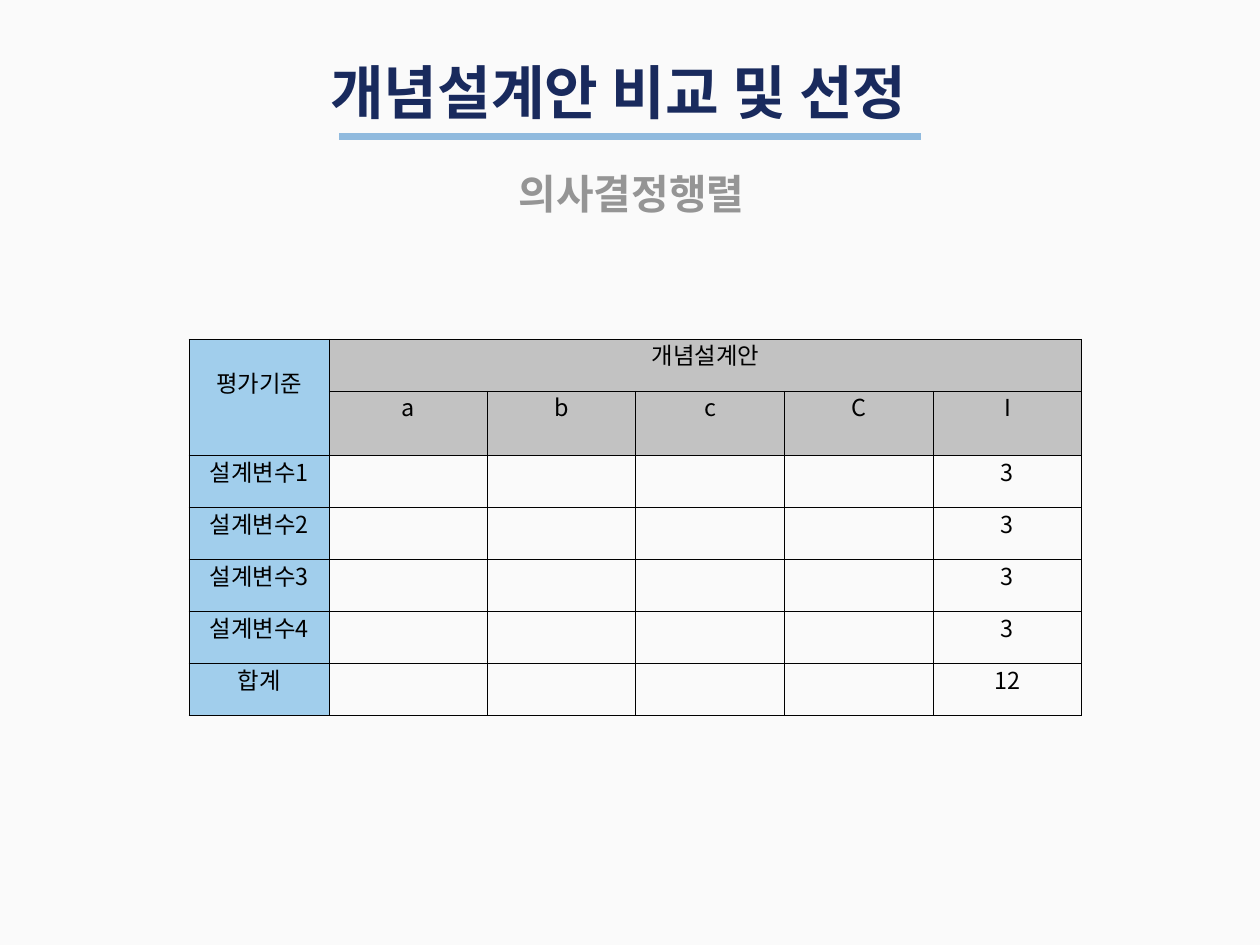
from typing import NamedTuple

from lxml.etree import SubElement as Sub
from pptx import Presentation
from pptx.dml.color import RGBColor as Rgb
from pptx.enum.shapes import MSO_CONNECTOR as Conn
from pptx.enum.text import MSO_ANCHOR as Anchor, MSO_AUTO_SIZE as Fit, PP_ALIGN as Align
from pptx.oxml.ns import qn
from pptx.util import Inches, Pt

FONT = "Noto Sans CJK KR"
COLORS = {
    "back": "FAFAFA", "title": "192A5D", "rule": "90BADE", "sub": "959595",
    "side": "A1CEEC", "head": "C2C2C2", "ink": "000000",
}
WIDTHS = [1.67, 1.88] + [1.77] * 4
ROW = 0.62
GRID = [
    ["평가기준", "개념설계안", "", "", "", ""],
    ["", "a", "b", "c", "C", "I"],
    *[[f"설계변수{n}", "", "", "", "", "3"] for n in range(1, 5)],
    ["합계", "", "", "", "", "12"],
]


class Heading(NamedTuple):
    text: str
    box: tuple[float, float, float, float]
    size: int
    color: str
    align: Align


HEADS = [
    Heading("개념설계안 비교 및 선정", (3.83, 0.62, 7.33, 1.78), 50, "title", Align.LEFT),
    Heading("의사결정행렬", (0.96, 1.96, 13.12, 0.69), 35, "sub", Align.CENTER),
]


def rgb(name: str) -> Rgb:
    return Rgb.from_string(COLORS[name])


def style(para, size: int, color: str, bold: bool = False) -> None:
    for run in para.runs:
        font = run.font
        font.name, font.size, font.bold = FONT, Pt(size), bold
        font.color.rgb = rgb(color)
        Sub(font._element, qn("a:ea"), typeface=FONT)


def add_head(holder, head: Heading) -> None:
    holder.left, holder.top, holder.width, holder.height = map(Inches, head.box)
    frame = holder.text_frame
    frame.text = head.text
    frame.word_wrap = True
    frame.auto_size = Fit.NONE
    frame.vertical_anchor = Anchor.TOP
    para = frame.paragraphs[0]
    para.alignment = head.align
    para.space_before = Pt(0)
    style(para, head.size, head.color, True)


def add_rule(slide) -> None:
    y = Inches(1.62)
    rule = slide.shapes.add_connector(Conn.STRAIGHT, Inches(4.04), y, Inches(10.96), y)
    rule.line.color.rgb = rgb("rule")
    rule.line.width = Pt(6)
    Sub(rule._element.spPr, qn("a:effectLst"))


def add_edges(cell) -> None:
    props = cell._tc.get_or_add_tcPr()
    for side in "LRTB":
        line = Sub(props, qn(f"a:ln{side}"), w=str(Pt(1)))
        fill = Sub(line, qn("a:solidFill"))
        Sub(fill, qn("a:srgbClr"), val=COLORS["ink"])


def fill_cell(cell, row: int, col: int) -> None:
    add_edges(cell)
    if col == 0 or row < 2:
        cell.fill.solid()
        cell.fill.fore_color.rgb = rgb("head" if col else "side")
    else:
        cell.fill.background()
    if GRID[row][col]:
        cell.text_frame.text = GRID[row][col]
        para = cell.text_frame.paragraphs[0]
        para.alignment = Align.CENTER
        para.line_spacing = Pt(24)
        style(para, 20, "ink")


def add_matrix(slide) -> None:
    rows, cols = len(GRID), len(WIDTHS)
    table = slide.shapes.add_table(
        rows, cols, Inches(2.25), Inches(4.04), Inches(sum(WIDTHS)), Inches(ROW * rows)
    ).table
    table.first_row = table.horz_banding = False
    for col, width in zip(table.columns, WIDTHS):
        col.width = Inches(width)
    for r in range(rows):
        table.rows[r].height = Inches(ROW)
        for c in range(cols):
            fill_cell(table.cell(r, c), r, c)
    table.cell(0, 0).merge(table.cell(1, 0))
    table.cell(0, 1).merge(table.cell(0, cols - 1))
    table.cell(0, 0).margin_top = Inches(0.38)


def main() -> None:
    deck = Presentation()
    deck.slide_width, deck.slide_height = Inches(15), Inches(11.25)
    slide = deck.slides.add_slide(deck.slide_layouts[0])
    slide.background.fill.solid()
    slide.background.fill.fore_color.rgb = rgb("back")
    for holder, head in zip(slide.placeholders, HEADS):
        add_head(holder, head)
    add_rule(slide)
    add_matrix(slide)
    deck.save("out.pptx")


if __name__ == "__main__":
    main()
